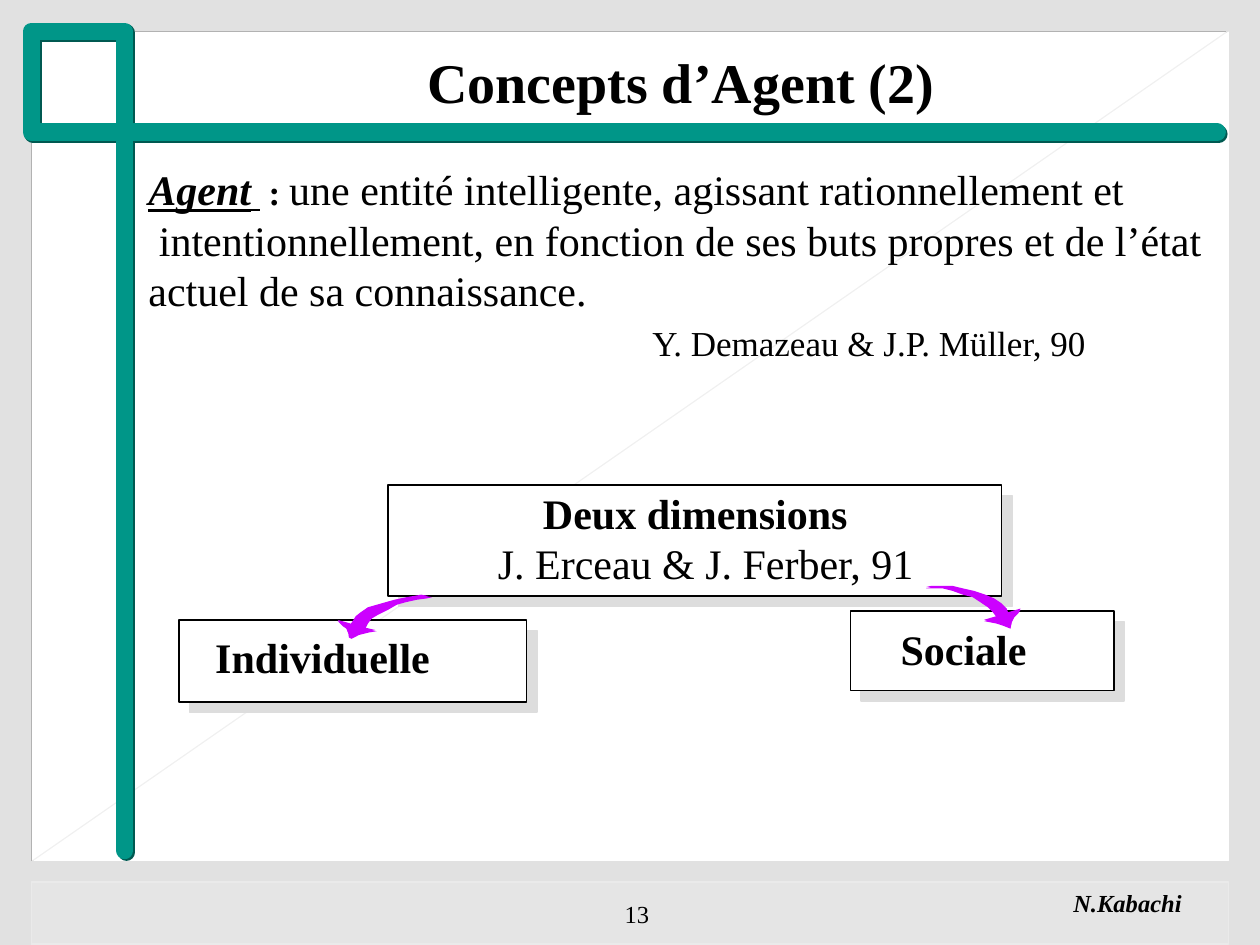
from lxml.etree import SubElement
from pptx import Presentation
from pptx.dml.color import RGBColor
from pptx.enum.shapes import MSO_SHAPE
from pptx.enum.text import MSO_ANCHOR, MSO_AUTO_SIZE, PP_ALIGN
from pptx.oxml.ns import qn
from pptx.util import Inches, Pt


def paint(shape, fill=None, line=None, width=1, alpha=None, shadow=None, distance=0):
    shape.shadow.inherit = False
    if fill:
        shape.fill.solid()
        shape.fill.fore_color.rgb = RGBColor.from_string(fill)
    else:
        shape.fill.background()
    if line:
        shape.line.color.rgb = RGBColor.from_string(line)
        shape.line.width = Pt(width)
    else:
        shape.line.fill.background()
    properties = shape._element.spPr
    if alpha:
        color = properties.find(qn("a:solidFill")).find(qn("a:srgbClr"))
        SubElement(color, qn("a:alpha"), val=str(alpha * 1000))
    if shadow:
        effects = properties.find(qn("a:effectLst"))
        outer = SubElement(effects, qn("a:outerShdw"), blurRad="0", dist=str(Pt(distance)),
                           dir="2700000", algn="tl", rotWithShape="0")
        SubElement(outer, qn("a:srgbClr"), val=shadow)


def write(para, text, size=24, bold=False, italic=False, underline=False):
    span = para.add_run()
    span.text = text
    span.font.name = "Times New Roman"
    span.font.size = Pt(size)
    span.font.bold = bold
    span.font.italic = italic
    span.font.underline = underline
    span.font.color.rgb = RGBColor.from_string("000000")


deck = Presentation()
deck.slide_width = Inches(10)
deck.slide_height = Inches(7.5)
page = deck.slides.add_slide(deck.slide_layouts[5])
page.background.fill.solid()
page.background.fill.fore_color.rgb = RGBColor.from_string("E1E1E1")

panels = [
    (0.25, 0.25, 9.73, 6.83, "FFFFFF", None, "FFFFFF", "B2B2B2", "FFFFFF"),
    (0.25, 7, 9.75, 7.49, "EAEAEA", "EAEAEA", None, "EAEAEA", "EAEAEA"),
]
for left, top, right, bottom, fill, border, bevel, light, dark in panels:
    panel = page.shapes.add_shape(MSO_SHAPE.RECTANGLE, Inches(left), Inches(top),
                                  Inches(right - left), Inches(bottom - top))
    paint(panel, fill, border, 0.75, alpha=50)
    shift = 9.75 - right
    edges = [
        (light, [(right, top), (left, top), (left, bottom)]),
        (dark, [(9.75, top), (9.75, bottom), (left + shift, bottom)]),
    ]
    for color, points in edges:
        corners = [(Inches(x), Inches(y)) for x, y in points]
        builder = page.shapes.build_freeform(*corners[0])
        builder.add_line_segments(corners[1:], close=False)
        paint(builder.convert_to_shape(), bevel, color)

frame = page.shapes.build_freeform(Inches(0.99), Inches(6.75))
frame.add_line_segments(
    [(Inches(x), Inches(y)) for x, y in [(0.99, 0.25), (0.25, 0.25), (0.25, 1.05), (9.66, 1.05)]],
    close=False)
band = frame.convert_to_shape()
paint(band, line="009688", width=10, shadow="005951", distance=1.4)
stroke = band.line._get_or_add_ln()
stroke.set("cap", "rnd")
SubElement(stroke, qn("a:round"))

for left, top, width, height in [(3.08, 3.85, 4.87, 0.88), (6.75, 4.85, 2.09, 0.63),
                                 (1.42, 4.92, 2.76, 0.65)]:
    card = page.shapes.add_shape(MSO_SHAPE.RECTANGLE, Inches(left), Inches(top),
                                 Inches(width), Inches(height))
    paint(card, "FFFFFF", "000000", shadow="DDDDDD", distance=8.5)

title = page.shapes.title
page.shapes._spTree.append(title._element)
strong = {"bold": True}
texts = [
    (title, (3.29, 0.33, 4.23, 0.63), PP_ALIGN.CENTER,
     [[("Concepts d’Agent (2)", {"size": 32, "bold": True})]]),
    (None, (8.42, 7, 1.06, 0.34), PP_ALIGN.LEFT,
     [[("N.Kabachi", {"size": 14, "bold": True, "italic": True})]]),
    (None, (4.83, 7, 0.42, 0.5), PP_ALIGN.RIGHT, [[("13", {"size": 14})]]),
    (None, (1.08, 1.25, 8.65, 1.7), PP_ALIGN.LEFT, [
        [("Agent", {"bold": True, "italic": True, "underline": True}),
         (" ", {"size": 20, "bold": True, "underline": True}),
         (" : ", {"size": 20, "bold": True}),
         ("une entité intelligente, agissant rationnellement et", {})],
        [(" intentionnellement, en fonction de ses buts propres et de l’état", {})],
        [("actuel de sa connaissance.", {})],
        [("Y. Demazeau & J.P. Müller, 90", {"size": 20})],
    ]),
    (None, (3.76, 3.82, 3.6, 0.9), PP_ALIGN.CENTER,
     [[("Deux dimensions ", strong)], [(" ", strong), ("J. Erceau & J. Ferber, 91", {})]]),
    (None, (7.05, 4.9, 1.2, 0.5), PP_ALIGN.LEFT, [[("Sociale", strong)]]),
    (None, (1.61, 4.96, 1.91, 0.5), PP_ALIGN.LEFT, [[("Individuelle", strong)]]),
]
for holder, place, align, lines in texts:
    left, top, width, height = [Inches(value) for value in place]
    box = holder or page.shapes.add_textbox(left, top, width, height)
    box.left, box.top, box.width, box.height = left, top, width, height
    body = box.text_frame
    body.word_wrap = False
    body.auto_size = MSO_AUTO_SIZE.NONE
    body.vertical_anchor = MSO_ANCHOR.MIDDLE if align == PP_ALIGN.RIGHT else MSO_ANCHOR.TOP
    for index, spans in enumerate(lines):
        para = body.add_paragraph() if index else body.paragraphs[0]
        para.alignment = align
        for text, style in spans:
            write(para, text, **style)
        if text.startswith("Y. Demazeau"):
            para.space_before = Pt(4)
            para._p.get_or_add_pPr().set("marL", str(Inches(4)))

left_arrow = [
    (3.43, 4.74), (3.37, 4.73), (3.25, 4.75), (3.15, 4.77), (3.04, 4.8), (2.93, 4.83),
    (2.87, 4.87), (2.83, 4.9), (2.81, 4.93), (2.79, 4.96), (2.68, 4.93), (2.72, 4.97),
    (2.75, 4.99), (2.77, 5.04), (2.77, 5.06), (2.79, 5.07), (2.85, 5.04), (2.93, 5.02),
    (2.99, 5.01), (2.9, 4.99), (2.92, 4.95), (2.95, 4.91), (3, 4.88), (3.08, 4.84),
    (3.15, 4.8), (3.22, 4.78), (3.31, 4.76), (3.39, 4.75),
]
right_arrow = [
    (7.35, 4.67), (7.39, 4.66), (7.48, 4.66), (7.56, 4.66), (7.64, 4.68), (7.73, 4.7),
    (7.82, 4.73), (7.89, 4.76), (7.95, 4.8), (7.99, 4.84), (8, 4.87), (8.1, 4.84),
    (8.08, 4.87), (8.05, 4.9), (8.03, 4.94), (8.02, 4.99), (7.97, 4.97), (7.91, 4.95),
    (7.86, 4.94), (7.81, 4.93), (7.91, 4.9), (7.88, 4.86), (7.84, 4.82), (7.78, 4.78),
    (7.72, 4.74), (7.64, 4.72), (7.56, 4.69), (7.48, 4.67), (7.41, 4.67),
]
for outline, stretch in [(left_arrow, 0.96), (right_arrow, 1)]:
    group = page.shapes.add_group_shape()
    origin = min(x for x, y in outline)
    for scale, lift in [(1, 0), (stretch, 0.01)]:
        corners = [(Inches(origin + (x - origin) * scale), Inches(y - lift)) for x, y in outline]
        arrow = group.shapes.build_freeform(*corners[0])
        arrow.add_line_segments(corners[1:])
        paint(arrow.convert_to_shape(), "CC00FF")

deck.save("out.pptx")
